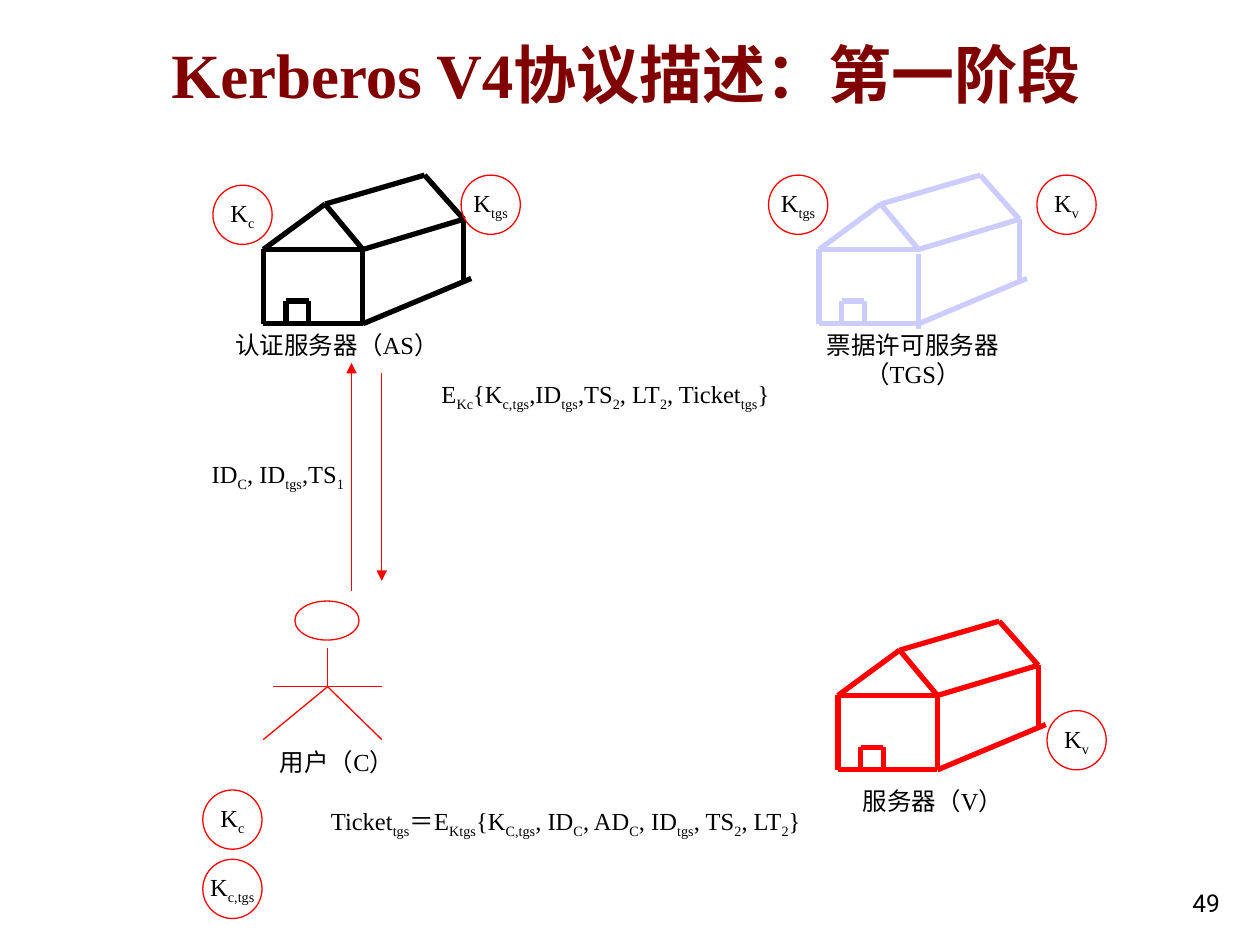
from dataclasses import dataclass
from lxml.etree import SubElement
from pptx import Presentation
from pptx.dml.color import RGBColor
from pptx.enum.shapes import MSO_CONNECTOR as Connector, MSO_SHAPE as Shape
from pptx.enum.text import MSO_ANCHOR as Anchor, MSO_AUTO_SIZE as AutoSize, PP_ALIGN as Align
from pptx.oxml.ns import qn
from pptx.util import Inches, Pt


@dataclass(frozen=True)
class Theme:
    title: str = "800000"
    text: str = "000000"
    accent: str = "FF0000"
    pale: str = "CCCCFF"
    font: str = "Times New Roman"
    number_font: str = "Roboto"
    title_size: int = 36
    body_size: int = 14
    thin: float = 0.75
    thick: float = 3
    key_size: float = 0.47


theme = Theme()

TITLE = "Kerberos V4协议描述：第一阶段"
PAGE_NUMBER = "49"

# Odd pieces between bars are subscripts.
LABELS = [
    ("认证服务器（AS）", 1.69, 2.57, 1.97, 0.34),
    ("票据许可服务器（TGS）", 6.26, 2.57, 1.97, 0.57),
    ("服务器（V）", 6.42, 6.19, 1.97, 0.34),
    ("用户（C）", 1.69, 5.88, 1.97, 0.34),
    ("ID|C|, ID|tgs|,TS|1", 1.38, 3.59, 1.65, 0.37),
    ("E|Kc|{K|c,tgs|,ID|tgs|,TS|2|, LT|2|, Ticket|tgs|}", 3.11, 2.96, 3.39, 0.37),
    ("Ticket|tgs|＝E|Ktgs|{K|C,tgs|, ID|C|, AD|C|, ID|tgs|, TS|2|, LT|2|}",
     2.01, 6.35, 4.96, 0.37),
]
KEYS = [
    ("K|c", 1.61, 6.27), ("K|c", 1.69, 1.47), ("K|tgs", 6.1, 1.39),
    ("K|v", 8.31, 5.64), ("K|tgs", 3.66, 1.39), ("K|v", 8.23, 1.39),
    ("K|c,tgs", 1.61, 6.82),
]
HOUSES = [
    (2.09, 1.39, theme.text, 0),
    (6.5, 1.39, theme.pale, 0.04),
    (6.65, 4.93, theme.accent, 0),
]
HOUSE_POINTS = {
    "peak": (0.49, 0.23), "ridge": (1.28, 0),
    "left_eave": (0, 0.59), "right_eave": (0.79, 0.59), "back_eave": (1.59, 0.35),
    "left_base": (0, 1.18), "right_base": (0.79, 1.18),
    "back_base": (1.65, 0.82), "back_wall": (1.59, 0.83),
    "door_left": (0.18, 1), "door_right": (0.36, 1),
    "door_left_base": (0.18, 1.18), "door_right_base": (0.36, 1.18),
}
HOUSE_EDGES = [
    ("peak", "left_eave"), ("peak", "right_eave"), ("left_eave", "right_eave"),
    ("peak", "ridge"), ("ridge", "back_eave"), ("right_eave", "back_eave"),
    ("left_eave", "left_base"), ("right_eave", "right_base"),
    ("left_base", "right_base"), ("right_base", "back_base"),
    ("back_eave", "back_wall"), ("door_left", "door_left_base"),
    ("door_left", "door_right"), ("door_right", "door_right_base"),
]
HEAD = (2.34, 4.77, 0.51, 0.31)
HIP = (2.6, 5.45)
BODY = [((2.6, 5.14), HIP), (HIP, (2.09, 5.87)), (HIP, (3.03, 5.87)),
        ((2.17, 5.45), (3.03, 5.45))]
MESSAGES = [((2.79, 4.69), (2.79, 2.88)), ((3.03, 2.96), (3.03, 4.61))]


def color(value):
    return RGBColor.from_string(value)


def set_font(paragraph, size=theme.body_size, name=theme.font, value=theme.text):
    paragraph.font.size = Pt(size)
    paragraph.font.name = name
    paragraph.font.color.rgb = color(value)


def write(shape, text):
    paragraph = shape.text_frame.paragraphs[0]
    paragraph.alignment = Align.CENTER
    set_font(paragraph)
    for index, piece in enumerate(text.split("|")):
        run = paragraph.add_run()
        run.text = piece
        if index % 2:
            run._r.get_or_add_rPr().set("baseline", "-25000")


def add_line(slide, start, end, value=theme.accent, width=theme.thin, arrow=False):
    line = slide.shapes.add_connector(
        Connector.STRAIGHT, *(Inches(number) for number in (*start, *end)))
    line.line.color.rgb = color(value)
    line.line.width = Pt(width)
    if arrow:
        SubElement(line.line._get_or_add_ln(), qn("a:tailEnd"), type="triangle")
    SubElement(line._element.spPr, qn("a:effectLst"))


def add_house(slide, left, top, value, wall_drop):
    points = {name: (left + x, top + y) for name, (x, y) in HOUSE_POINTS.items()}
    for start, end in HOUSE_EDGES:
        drop = wall_drop if (start, end) == ("right_eave", "right_base") else 0
        (x1, y1), (x2, y2) = points[start], points[end]
        add_line(slide, (x1, y1 + drop), (x2, y2 + drop), value, theme.thick)


def add_ellipse(slide, *box):
    ellipse = slide.shapes.add_shape(Shape.OVAL, *map(Inches, box))
    ellipse.shadow.inherit = False
    ellipse.fill.background()
    ellipse.line.color.rgb = color(theme.accent)
    ellipse.line.width = Pt(theme.thin)
    return ellipse


def add_text_box(slide, *box):
    text_box = slide.shapes.add_textbox(*map(Inches, box))
    text_box.text_frame.word_wrap = True
    return text_box


def add_title(slide):
    title = slide.shapes.title
    title.left, title.top, title.width, title.height = map(Inches, (1.26, 0.23, 8.52, 0.92))
    title.text_frame.text = TITLE
    title.text_frame.vertical_anchor = Anchor.TOP
    paragraph = title.text_frame.paragraphs[0]
    paragraph.alignment = Align.LEFT
    set_font(paragraph, theme.title_size, value=theme.title)
    paragraph.font.bold = True


def add_page_number(slide):
    frame = add_text_box(slide, 7.7, 6.83, 2.08, 0.5).text_frame
    frame.text = PAGE_NUMBER
    frame.vertical_anchor = Anchor.BOTTOM
    frame.paragraphs[0].alignment = Align.RIGHT
    set_font(frame.paragraphs[0], name=theme.number_font)


def main():
    presentation = Presentation()
    presentation.slide_width, presentation.slide_height = Inches(10), Inches(7.5)
    slide = presentation.slides.add_slide(presentation.slide_layouts[5])
    add_title(slide)
    for house in HOUSES:
        add_house(slide, *house)
    add_ellipse(slide, *HEAD)
    for start, end in BODY:
        add_line(slide, start, end)
    for start, end in MESSAGES:
        add_line(slide, start, end, arrow=True)
    for text, *box in LABELS:
        label = add_text_box(slide, *box)
        label.text_frame.auto_size = AutoSize.SHAPE_TO_FIT_TEXT
        write(label, text)
    for text, left, top in KEYS:
        key = add_ellipse(slide, left, top, theme.key_size, theme.key_size)
        key.text_frame.word_wrap = False
        key.text_frame.vertical_anchor = Anchor.MIDDLE
        write(key, text)
    add_page_number(slide)
    presentation.save("out.pptx")


if __name__ == "__main__":
    main()
